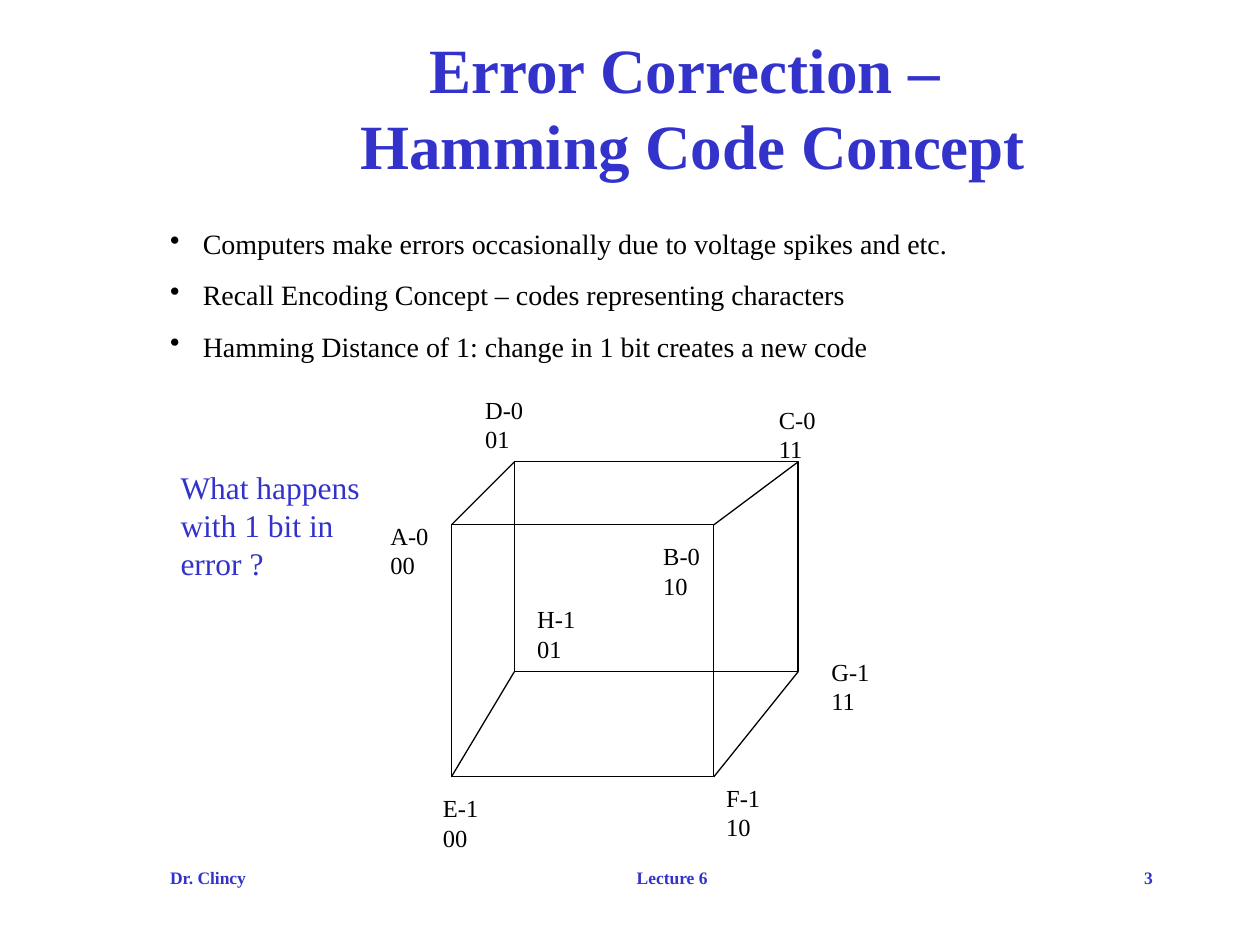
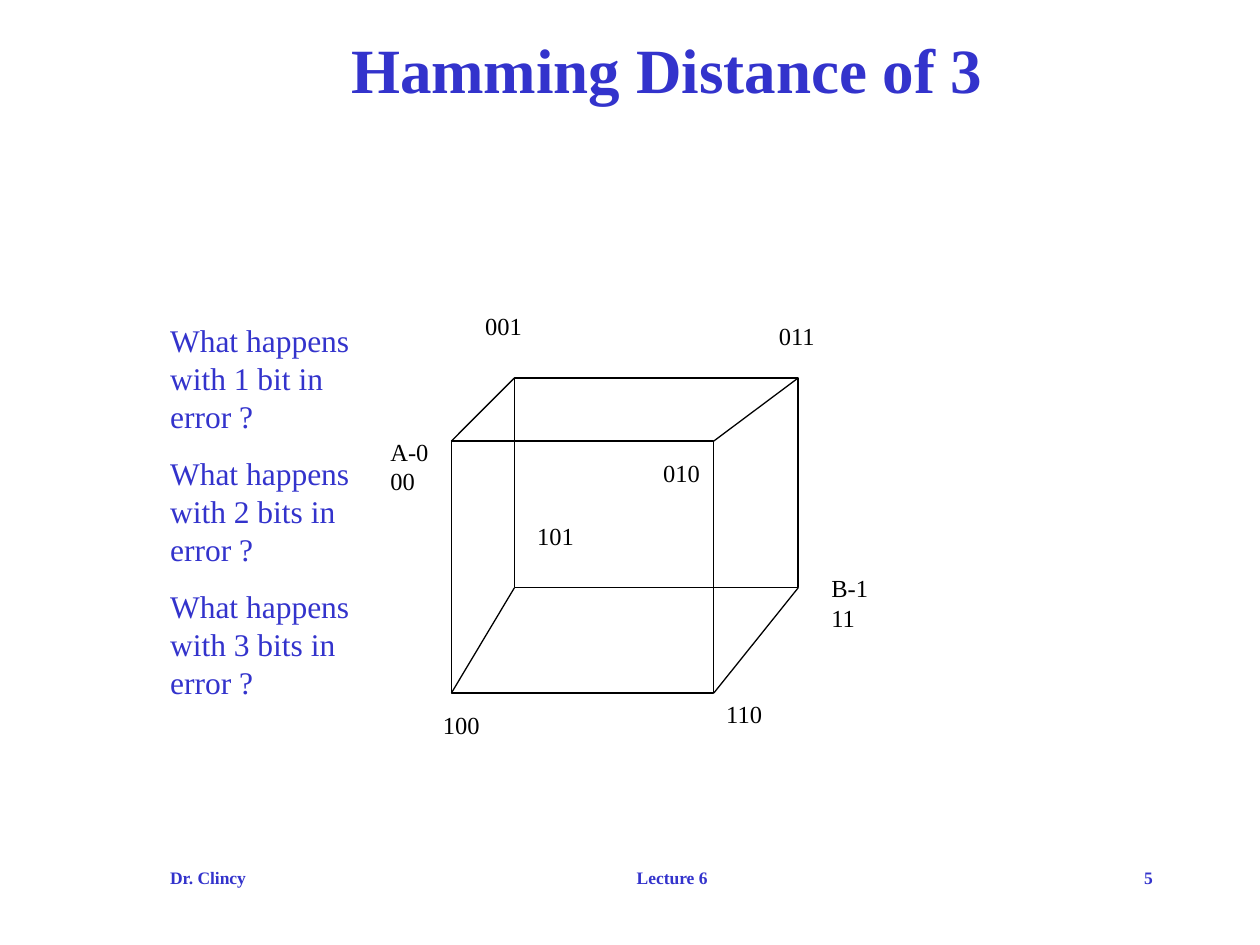
from lxml.etree import SubElement
from pptx import Presentation
from pptx.dml.color import RGBColor
from pptx.enum.shapes import MSO_CONNECTOR, MSO_SHAPE
from pptx.enum.text import MSO_ANCHOR, PP_ALIGN
from pptx.oxml.ns import qn
from pptx.util import Cm, Pt

BLUE = RGBColor(0x33, 0x33, 0xCC)
BLACK = RGBColor(0x00, 0x00, 0x00)
FONT = "Times New Roman"
FOOTER_TOP = 17.36
FRONT_LEFT, FRONT_RIGHT, FRONT_DROP, FRONT_HEIGHT = 9.1, 14.39, 1.27, 5.08
BACK_LEFT, BACK_RIGHT, BACK_HEIGHT = 10.37, 16.09, 4.23
LABEL_PLACES = [
    (7.62, 1.06), (9.53, -1.48), (14.39, 6.35), (15.45, -1.27),
    (10.58, 2.75), (16.51, 3.81), (13.12, 1.48), (8.68, 6.56),
]

SLIDES = [
    {
        "title": "Error Correction – \vHamming Code Concept",
        "title_place": (5.29, 1.41, 17.35, 1.47),
        "bullets": [
            "Computers make errors occasionally due to voltage spikes and etc.",
            "Recall Encoding Concept – codes representing characters",
            "Hamming Distance of 1: change in 1 bit creates a new code",
        ],
        "cube_top": 9.31,
        "codes": ["A-000", "D-001", "F-110", "C-011", "H-101", "G-111", "B-010", "E-100"],
        "questions": ["What happens with 1 bit in error ?"],
        "questions_place": (3.39, 9.31, 4.23, 2.54),
        "number": "3",
    },
    {
        "title": "Hamming Distance of 3",
        "title_place": (3.39, 0.98, 20.11, 0.79),
        "bullets": [],
        "cube_top": 7.62,
        "codes": ["A-000", "001", "110", "011", "101", "B-111", "010", "100"],
        "questions": [
            "What happens with 1 bit in error ?",
            "What happens with 2 bits in error ?",
            "What happens with 3 bits in error ?",
        ],
        "questions_place": (3.18, 6.35, 4.23, 7.92),
        "number": "5",
    },
]


def add_text(shapes, place, lines, size, color=BLUE, bold=False,
             align=PP_ALIGN.LEFT, before=0, anchor=MSO_ANCHOR.TOP):
    box = shapes.add_textbox(*[Cm(length) for length in place])
    frame = box.text_frame
    frame.word_wrap = True
    frame.vertical_anchor = anchor
    for index, line in enumerate(lines):
        para = frame.paragraphs[0] if index == 0 else frame.add_paragraph()
        para.text = line
        para.alignment = align
        para.space_before = Pt(before)
        para.font.name = FONT
        para.font.size = Pt(size)
        para.font.bold = bold
        para.font.color.rgb = color
    return box


deck = Presentation()
deck.slide_width = Cm(25.4)
deck.slide_height = Cm(19.05)

for content in SLIDES:
    page = deck.slides.add_slide(deck.slide_layouts[6])
    add_text(page.shapes, content["title_place"], [content["title"]], 36, bold=True,
             align=PP_ALIGN.CENTER, anchor=MSO_ANCHOR.MIDDLE)

    cube = page.shapes.add_group_shape()
    back_top = content["cube_top"]
    front_top = back_top + FRONT_DROP
    for left, top, right, height in [
        (FRONT_LEFT, front_top, FRONT_RIGHT, FRONT_HEIGHT),
        (BACK_LEFT, back_top, BACK_RIGHT, BACK_HEIGHT),
    ]:
        face = cube.shapes.add_shape(MSO_SHAPE.RECTANGLE, Cm(left), Cm(top),
                                     Cm(right - left), Cm(height))
        face.shadow.inherit = False
        face.fill.background()
        face.line.color.rgb = BLACK
        face.line.width = Pt(0.75)

    for front_x, back_x in [(FRONT_LEFT, BACK_LEFT), (FRONT_RIGHT, BACK_RIGHT)]:
        for front_y, back_y in [(front_top + FRONT_HEIGHT, back_top + BACK_HEIGHT),
                                (front_top, back_top)]:
            edge = cube.shapes.add_connector(MSO_CONNECTOR.STRAIGHT, Cm(front_x), Cm(front_y),
                                             Cm(back_x), Cm(back_y))
            edge.line.color.rgb = BLACK
            edge.line.width = Pt(0.75)
            SubElement(edge._element.spPr, qn("a:effectLst"))

    for code, (left, drop) in zip(content["codes"], LABEL_PLACES):
        height = 1.45 if "-" in code else 0.86
        add_text(cube.shapes, (left, back_top + drop, 1.27, height), [code], 14, BLACK,
                 before=8.8)

    if content["bullets"]:
        box = add_text(page.shapes, (3.18, 4.45, 18.63, 3), content["bullets"], 16, BLACK,
                       before=10)
        for para in box.text_frame.paragraphs:
            properties = para._p.get_or_add_pPr()
            properties.set("marL", str(Cm(0.66)))
            properties.set("indent", str(-Cm(0.66)))
            bullet = properties.makeelement(qn("a:buChar"), {"char": "•"})
            properties.find(qn("a:defRPr")).addprevious(bullet)

    add_text(page.shapes, content["questions_place"], content["questions"], 18, before=11.2)

    for text, left, width, align in [
        ("Dr. Clincy", 3.18, 5.29, PP_ALIGN.LEFT),
        (content["number"], 18.2, 5.29, PP_ALIGN.RIGHT),
        ("Lecture 6", 9.53, 8.04, PP_ALIGN.CENTER),
    ]:
        add_text(page.shapes, (left, FOOTER_TOP, width, 1.27), [text], 10, bold=True, align=align)

deck.save("out.pptx")
